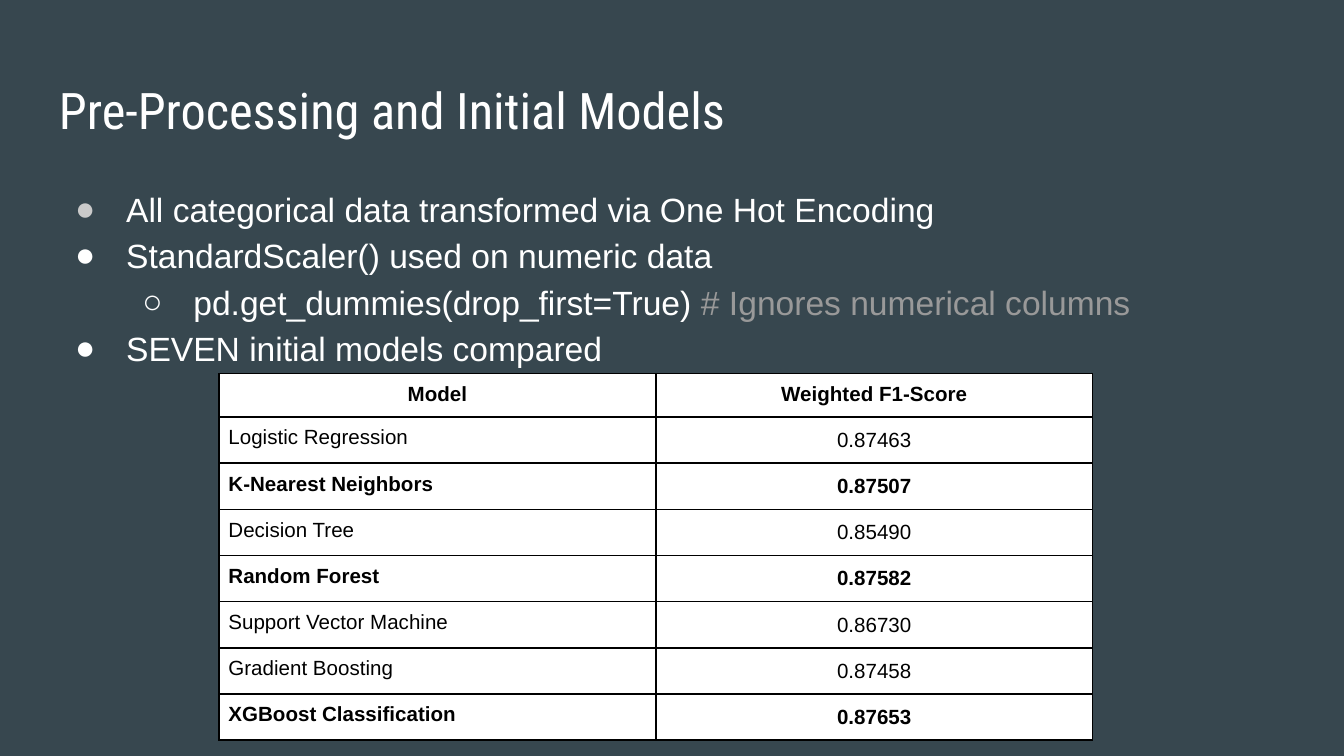
from dataclasses import dataclass

from lxml import etree
from pptx import Presentation
from pptx.dml.color import RGBColor
from pptx.enum.text import MSO_ANCHOR, PP_ALIGN
from pptx.oxml.ns import qn
from pptx.slide import Slide
from pptx.table import _Cell
from pptx.text.text import TextFrame, _Paragraph
from pptx.util import Inches, Pt

TOP = MSO_ANCHOR.TOP
LEFT = PP_ALIGN.LEFT
CENTER = PP_ALIGN.CENTER
SLIDE_WIDTH = Inches(10)
SLIDE_HEIGHT = Inches(10 * 9 / 16)
MINIMUM_ROW_HEIGHT = Inches(0.01)
BODY_FONT = "Arial"
TITLE_FONT = "Roboto Condensed"
BACKGROUND = "37474F"
WHITE = "FFFFFF"
BLACK = "000000"
COMMENT_GRAY = "999999"
BULLET_GRAY = "CACACA"
BULLET_CHARACTERS = ("●", "○")


@dataclass
class Bullet:
    text: str
    level: int = 0
    color: str = WHITE
    comment: str = ""


@dataclass
class Score:
    model: str
    value: str
    bold: bool = False


BULLETS = [
    Bullet("All categorical data transformed via One Hot Encoding", color=BULLET_GRAY),
    Bullet("StandardScaler() used on numeric data"),
    Bullet("pd.get_dummies(drop_first=True) ", level=1, comment="# Ignores numerical columns"),
    Bullet("SEVEN initial models compared"),
]

SCORES = [
    Score("Logistic Regression", "0.87463"),
    Score("K-Nearest Neighbors", "0.87507", bold=True),
    Score("Decision Tree", "0.85490"),
    Score("Random Forest", "0.87582", bold=True),
    Score("Support Vector Machine", "0.86730"),
    Score("Gradient Boosting", "0.87458"),
    Score("XGBoost Classification", "0.87653", bold=True),
]


def rgb(color: str) -> RGBColor:
    return RGBColor.from_string(color)


def set_font(paragraph: _Paragraph, name: str, size: float, color: str, bold: bool = False) -> None:
    paragraph.font.name = name
    paragraph.font.size = Pt(size)
    paragraph.font.bold = bold
    paragraph.font.color.rgb = rgb(color)


def add_text_frame(slide: Slide, left: float, top: float, width: float, height: float) -> TextFrame:
    shape = slide.shapes.add_textbox(Inches(left), Inches(top), Inches(width), Inches(height))
    frame = shape.text_frame
    frame.word_wrap = True
    frame.vertical_anchor = TOP
    frame.margin_left = frame.margin_right = Inches(0.1)
    frame.margin_top = frame.margin_bottom = Inches(0.1)
    return frame


def add_solid_color(parent: etree._Element, color: str) -> None:
    etree.SubElement(parent, qn("a:srgbClr"), val=color)


def add_title(slide: Slide, text: str) -> None:
    paragraph = add_text_frame(slide, 0.34, 0.49, 9.32, 0.63).paragraphs[0]
    paragraph.text = text
    set_font(paragraph, TITLE_FONT, 27, WHITE)


def write_bullet(paragraph: _Paragraph, bullet: Bullet) -> None:
    paragraph.level = bullet.level
    paragraph.line_spacing = 1.15
    set_font(paragraph, BODY_FONT, 18, WHITE)
    paragraph.add_run().text = bullet.text
    if bullet.comment:
        run = paragraph.add_run()
        run.text = bullet.comment
        run.font.color.rgb = rgb(COMMENT_GRAY)
    properties = paragraph._p.get_or_add_pPr()
    properties.set("marL", str(Inches(0.5 * (bullet.level + 1))))
    properties.set("indent", str(Inches(-0.38)))
    bullet_color = etree.Element(qn("a:buClr"))
    add_solid_color(bullet_color, bullet.color)
    bullet_font = etree.Element(qn("a:buFont"), typeface=BODY_FONT)
    character = etree.Element(qn("a:buChar"), char=BULLET_CHARACTERS[bullet.level])
    position = len(properties.findall(qn("a:lnSpc")))
    for offset, element in enumerate((bullet_color, bullet_font, character)):
        properties.insert(position + offset, element)


def add_bullets(slide: Slide, bullets: list[Bullet]) -> None:
    frame = add_text_frame(slide, 0.34, 1.26, 9.08, 3.74)
    for index, bullet in enumerate(bullets):
        paragraph = frame.add_paragraph() if index else frame.paragraphs[0]
        write_bullet(paragraph, bullet)


def set_borders(cell: _Cell, color: str, width: float) -> None:
    properties = cell._tc.get_or_add_tcPr()
    for side in ("a:lnL", "a:lnR", "a:lnT", "a:lnB"):
        line = etree.SubElement(properties, qn(side), w=str(Pt(width)))
        add_solid_color(etree.SubElement(line, qn("a:solidFill")), color)


def write_cell(cell: _Cell, text: str, bold: bool, alignment: PP_ALIGN) -> _Paragraph:
    set_borders(cell, BLACK, 1)
    cell.fill.solid()
    cell.fill.fore_color.rgb = rgb(WHITE)
    cell.vertical_anchor = TOP
    cell.margin_left = cell.margin_right = Inches(0.07)
    cell.margin_top = cell.margin_bottom = Inches(0.07)
    paragraph = cell.text_frame.paragraphs[0]
    paragraph.text = text
    paragraph.alignment = alignment
    set_font(paragraph, BODY_FONT, 11, BLACK, bold)
    return paragraph


def add_score_table(slide: Slide, scores: list[Score]) -> None:
    row_count = len(scores) + 1
    frame = slide.shapes.add_table(
        row_count, 2, Inches(1.63), Inches(2.78), Inches(6.5), MINIMUM_ROW_HEIGHT * row_count
    )
    table = frame.table
    for column, heading in enumerate(("Model", "Weighted F1-Score")):
        write_cell(table.cell(0, column), heading, True, CENTER)
    for row_index, score in enumerate(scores, start=1):
        write_cell(table.cell(row_index, 0), score.model, score.bold, LEFT)
        value = write_cell(table.cell(row_index, 1), score.value, score.bold, CENTER)
        value.line_spacing = 1.11


def main() -> None:
    presentation = Presentation()
    presentation.slide_width = SLIDE_WIDTH
    presentation.slide_height = SLIDE_HEIGHT
    slide = presentation.slides.add_slide(presentation.slide_layouts[6])
    slide.background.fill.solid()
    slide.background.fill.fore_color.rgb = rgb(BACKGROUND)
    add_title(slide, "Pre-Processing and Initial Models")
    add_bullets(slide, BULLETS)
    add_score_table(slide, SCORES)
    presentation.save("out.pptx")


if __name__ == "__main__":
    main()
